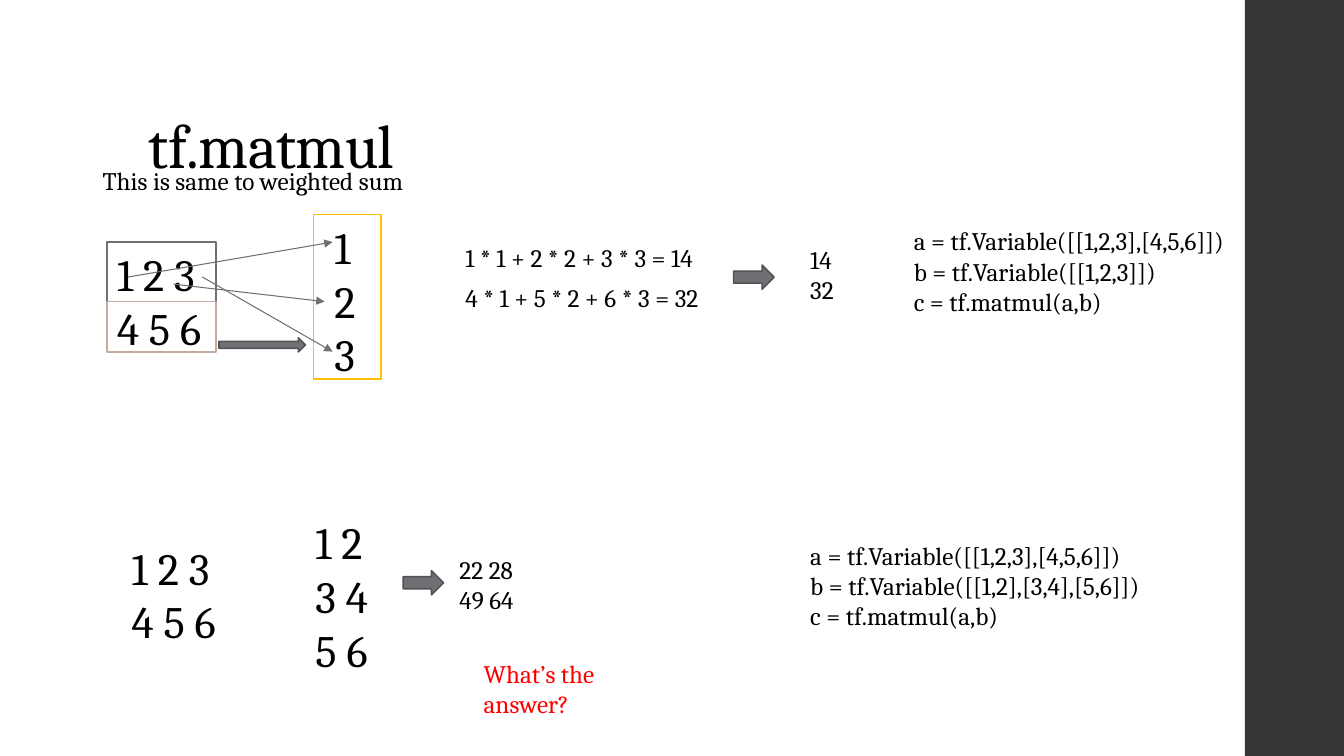
"""Build a slide that explains tf.matmul as a weighted sum."""
from lxml import etree
from pptx import Presentation
from pptx.dml.color import RGBColor
from pptx.enum.shapes import MSO_CONNECTOR, MSO_SHAPE
from pptx.enum.text import MSO_ANCHOR, MSO_AUTO_SIZE
from pptx.oxml.ns import qn
from pptx.util import Cm, Pt

STRAIGHT = MSO_CONNECTOR.STRAIGHT
RECTANGLE = MSO_SHAPE.RECTANGLE
RIGHT_ARROW = MSO_SHAPE.RIGHT_ARROW
DOWN_ARROW = MSO_SHAPE.DOWN_ARROW
TOP, BOTTOM = MSO_ANCHOR.TOP, MSO_ANCHOR.BOTTOM
GROW, FIXED = MSO_AUTO_SIZE.SHAPE_TO_FIT_TEXT, MSO_AUTO_SIZE.NONE
GRAY, DARK_GRAY = "6F6F74", "525256"

presentation = Presentation()
presentation.slide_width, presentation.slide_height = Cm(33.87), Cm(19.05)
slide = presentation.slides.add_slide(presentation.slide_layouts[6])


def add_text(text, left, top, width, height, size=18, color="000000",
             anchor=TOP, auto_size=GROW, line_spacing=None, tracking=None):
    box = slide.shapes.add_textbox(Cm(left), Cm(top), Cm(width), Cm(height))
    frame = box.text_frame
    frame.word_wrap = True
    frame.auto_size = auto_size
    frame.vertical_anchor = anchor
    frame.text = text
    for paragraph in frame.paragraphs:
        paragraph.line_spacing = line_spacing
        for run in paragraph.runs:
            run.font.name = "Cambria"
            run.font.size = Pt(size)
            run.font.color.rgb = RGBColor.from_string(color)
            if tracking:
                run.font._element.set("spc", str(tracking))


def add_block(kind, left, top, width, height, fill=None, line=None, rotation=0):
    shape = slide.shapes.add_shape(kind, Cm(left), Cm(top), Cm(width), Cm(height))
    shape.shadow.inherit = False
    shape.rotation = rotation
    if fill:
        shape.fill.solid()
        shape.fill.fore_color.rgb = RGBColor.from_string(fill)
    else:
        shape.fill.background()
    if line:
        shape.line.color.rgb = RGBColor.from_string(line)
        shape.line.width = Pt(1.1)
    else:
        shape.line.fill.background()


add_block(RECTANGLE, 31.37, 0, 2.5, 19.05, fill="353537")
add_text("tf.matmul", 3.5, 1.02, 26.92, 3.68, size=44, anchor=BOTTOM,
         auto_size=FIXED, line_spacing=0.9, tracking=-50)
add_text("This is same to weighted sum", 2.34, 4.04, 9.17, 1.02)

matrices = [
    ("1 2 3\n4 5 6", 2.7, 6.1, 2.74, 3),
    ("1 2\n3 4\n5 6", 7.7, 12.85, 1.98, 4.37),
    ("1 2 3\n4 5 6", 3.07, 13.49, 2.74, 3),
    ("1\n2\n3", 8.18, 5.41, 1.98, 4.37),
]
for text, left, top, width, height in matrices:
    add_text(text, left, top, width, height, size=32)

frames = [
    (2.7, 6.1, 2.74, 1.5, GRAY),
    (7.9, 5.41, 1.7, 4.14, "FFC000"),
    (2.7, 7.6, 2.74, 1.27, "C3ABA1"),
]
for left, top, width, height, color in frames:
    add_block(RECTANGLE, left, top, width, height, line=color)

pairings = [
    (3.23, 6.98, 8.38, 6.1),
    (4.37, 7.16, 8.18, 7.6),
    (5.1, 6.98, 8.38, 8.86),
]
for start_x, start_y, end_x, end_y in pairings:
    connector = slide.shapes.add_connector(
        STRAIGHT, Cm(start_x), Cm(start_y), Cm(end_x), Cm(end_y))
    connector.line.color.rgb = RGBColor.from_string(GRAY)
    connector.line.width = Pt(0.75)
    etree.SubElement(connector.line._get_or_add_ln(), qn("a:tailEnd"), type="triangle")
    etree.SubElement(connector._element.spPr, qn("a:effectLst"))

arrows = [
    (DOWN_ARROW, 6.43, 7.6, 0.36, 2.18, 270),
    (RIGHT_ARROW, 10.16, 14.38, 1.02, 0.61, 0),
    (RIGHT_ARROW, 18.49, 6.68, 1.02, 0.61, 0),
]
for kind, left, top, width, height, rotation in arrows:
    add_block(kind, left, top, width, height, fill=GRAY, line=DARK_GRAY,
              rotation=rotation)

add_text("1 * 1 + 2 * 2 + 3 * 3 = 14", 11.48, 5.97, 7.37, 1.02)
add_text("4 * 1 + 5 * 2 + 6 * 3 = 32", 11.48, 6.99, 7.37, 1.02)
add_text("22 28\n49 64", 11.33, 13.84, 3.84, 1.8)
add_text("14\n32", 20.17, 6.02, 2.29, 1.8)

examples = [
    ("[[1,2,3]]", 22.78, 5.56),
    ("[[1,2],[3,4],[5,6]]", 20.17, 13.49),
]
for values, left, top in examples:
    add_text("a = tf.Variable([[1,2,3],[4,5,6]])\n"
             f"b = tf.Variable({values})\n"
             "c = tf.matmul(a,b)", left, top, 10.19, 2.57)

add_text("What’s the answer?", 11.94, 16.46, 5.44, 1.02, color="FF0000")

presentation.save("out.pptx")
